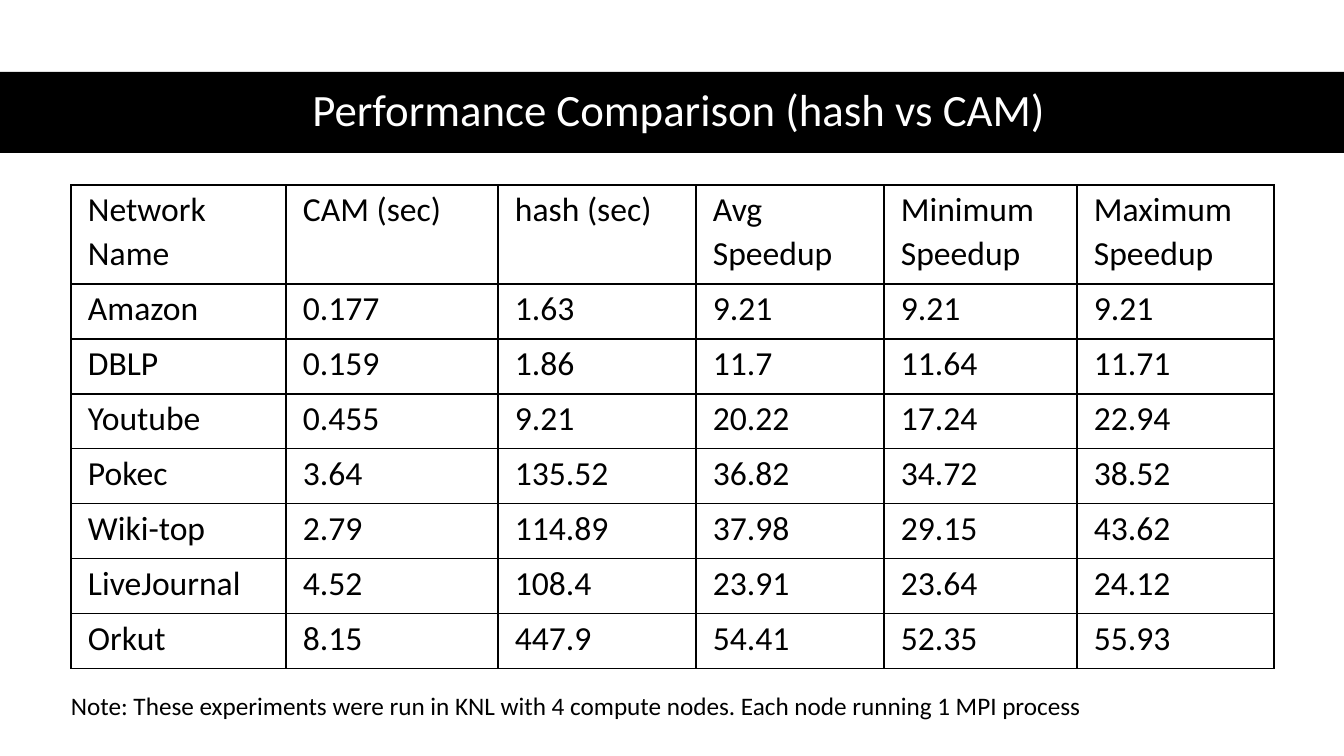
from lxml.etree import SubElement
from pptx import Presentation
from pptx.dml.color import RGBColor
from pptx.enum.shapes import MSO_SHAPE
from pptx.enum.text import MSO_ANCHOR, MSO_AUTO_SIZE, PP_ALIGN
from pptx.oxml.ns import qn
from pptx.util import Pt

COLORS = {"black": "000000", "white": "FFFFFF"}
EMU_PER_PX = 914400 / 100.8
COLUMN_WIDTHS = [215, 212, 198, 188, 193, 197]
HEADER_HEIGHT, ROW_HEIGHT = 99, 55
RESULTS = [
    ["Network Name", "CAM (sec)", "hash (sec)", "Avg Speedup", "Minimum Speedup", "Maximum Speedup"],
    ["Amazon", "0.177", "1.63", "9.21", "9.21", "9.21"],
    ["DBLP", "0.159", "1.86", "11.7", "11.64", "11.71"],
    ["Youtube", "0.455", "9.21", "20.22", "17.24", "22.94"],
    ["Pokec", "3.64", "135.52", "36.82", "34.72", "38.52"],
    ["Wiki-top", "2.79", "114.89", "37.98", "29.15", "43.62"],
    ["LiveJournal", "4.52", "108.4", "23.91", "23.64", "24.12"],
    ["Orkut", "8.15", "447.9", "54.41", "52.35", "55.93"],
]


def px(length):
    """Turn a length in px into EMU."""
    return round(length * EMU_PER_PX)


class PageBuilder:
    """Holds the text style and the current page."""

    def __init__(self, page, font_name="Calibri"):
        """Remember the page and its font."""
        self.page = page
        self.font_name = font_name

    def set_text(self, frame, text, size, color="black", align=PP_ALIGN.LEFT, spacing=1.0):
        """Put one formatted paragraph into a text frame."""
        frame.text = text
        frame.word_wrap = True
        para = frame.paragraphs[0]
        para.alignment = align
        para.line_spacing = spacing
        for span in para.runs:
            span.font.name = self.font_name
            span.font.size = Pt(size)
            span.font.color.rgb = RGBColor.from_string(COLORS[color])

    def title(self, text, left, top, width, height):
        """Place and format the title placeholder."""
        title = self.page.shapes.title
        title.left, title.top, title.width, title.height = map(px, (left, top, width, height))
        self.set_text(title.text_frame, text, 32, "white", PP_ALIGN.CENTER, 0.9)
        title.text_frame.vertical_anchor = MSO_ANCHOR.MIDDLE
        title.text_frame.auto_size = MSO_AUTO_SIZE.NONE

    def band(self, left, top, width, height):
        """Draw a black band behind the title."""
        band = self.page.shapes.add_shape(
            MSO_SHAPE.RECTANGLE, *map(px, (left, top, width, height)))
        band.shadow.inherit = False
        band.fill.solid()
        band.fill.fore_color.rgb = RGBColor.from_string(COLORS["black"])
        band.line.fill.background()
        self.page.shapes.title.element.addprevious(band.element)

    def note(self, text, left, top, width, height):
        """Add a text box."""
        box = self.page.shapes.add_textbox(*map(px, (left, top, width, height)))
        self.set_text(box.text_frame, text, 18)
        box.text_frame.auto_size = MSO_AUTO_SIZE.SHAPE_TO_FIT_TEXT

    def border(self, cell):
        """Draw thin black lines on all sides of a cell."""
        properties = cell._tc.get_or_add_tcPr()
        for position, side in enumerate(("a:lnL", "a:lnR", "a:lnT", "a:lnB")):
            line = SubElement(properties, qn(side), w=str(Pt(1)))
            fill = SubElement(line, qn("a:solidFill"))
            SubElement(fill, qn("a:srgbClr"), val=COLORS["black"])
            properties.insert(position, line)

    def table(self, rows, left, top, widths, heights):
        """Add a plain bordered table."""
        frame = self.page.shapes.add_table(
            len(rows), len(widths), *map(px, (left, top, sum(widths), sum(heights))))
        table = frame.table
        table.first_row = False
        table.horz_banding = False
        for column, width in zip(table.columns, widths):
            column.width = px(width)
        for row, height, values in zip(table.rows, heights, rows):
            row.height = px(height)
            for cell, value in zip(row.cells, values):
                cell.margin_left = cell.margin_right = px(17)
                cell.margin_top, cell.margin_bottom = px(2), 0
                cell.fill.background()
                self.border(cell)
                self.set_text(cell.text_frame, value, 24, spacing=1.07)


def main():
    """Build the slide and save it."""
    deck = Presentation()
    deck.slide_width, deck.slide_height = px(1344), px(756)
    builder = PageBuilder(deck.slides.add_slide(deck.slide_layouts[5]))
    builder.band(0, 72, 1344, 81)
    builder.title("Performance Comparison (hash vs CAM)", 61, 71, 1236, 81)
    heights = [HEADER_HEIGHT] + [ROW_HEIGHT] * (len(RESULTS) - 1)
    builder.table(RESULTS, 71, 185, COLUMN_WIDTHS, heights)
    builder.note(
        "Note: These experiments were run in KNL with 4 compute nodes. "
        "Each node running 1 MPI process", 61, 685, 1212, 40)
    deck.save("out.pptx")


if __name__ == "__main__":
    main()
